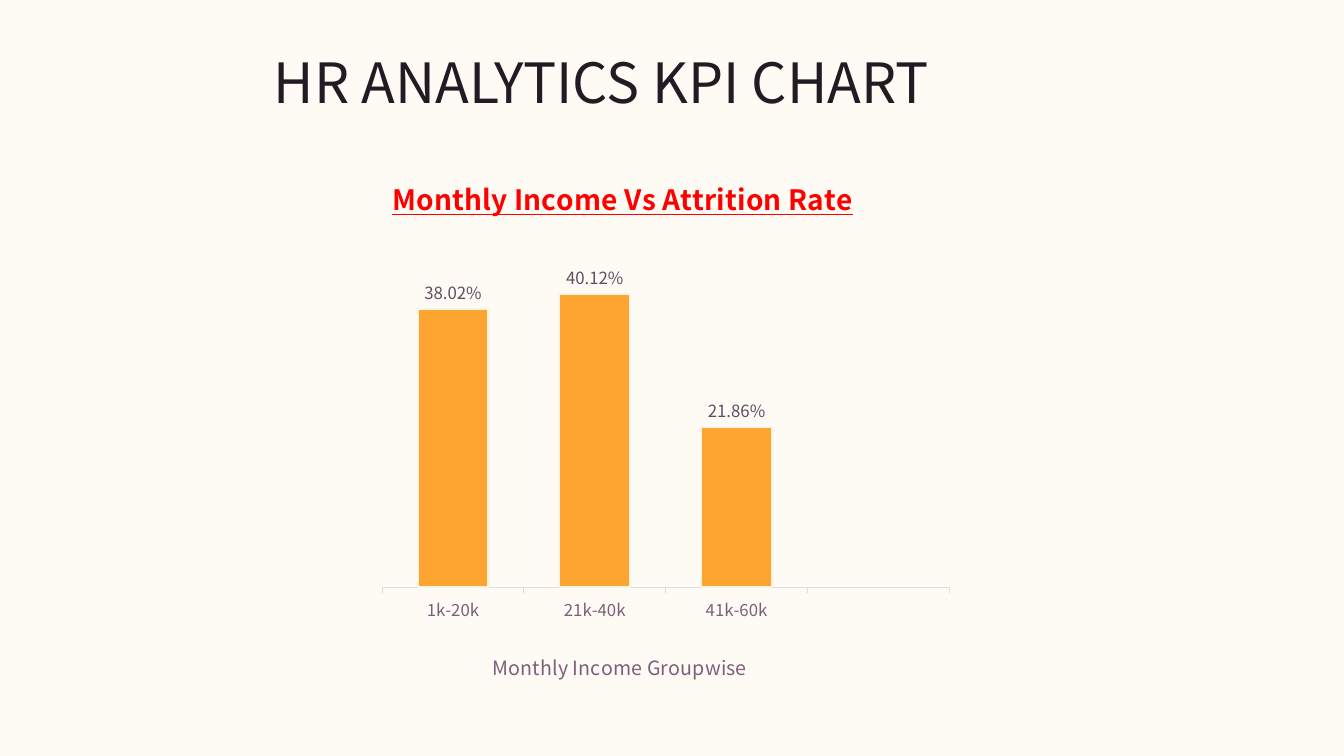
import pptx
import pptx.chart.data
import pptx.dml.color
import pptx.enum.chart
import pptx.enum.text
import pptx.util
from lxml import etree
from pptx.util import Inches

RGBColor = pptx.dml.color.RGBColor
INK = RGBColor(0x23, 0x1B, 0x23)
PLUM = RGBColor(0x7C, 0x5F, 0x7C)
DARK_PLUM = RGBColor(0x62, 0x4C, 0x62)
LILAC = RGBColor(0xE2, 0xD9, 0xE2)
RED = RGBColor(0xFF, 0x00, 0x00)
ORANGE = RGBColor(0xFD, 0xA4, 0x31)
CREAM = RGBColor(0xFC, 0xF5, 0xE5)
PALE_CREAM = RGBColor(0xFE, 0xFB, 0xF5)

INCOME_GROUPS = ["1k-20k", "21k-40k", "41k-60k", ""]
ATTRITION_RATES = [0.3802, 0.4012, 0.2186, None]
PERCENT = "0.00%"
CHART_NS = "http://schemas.openxmlformats.org/drawingml/2006/chart"


class KpiSlide:
    font_name = "Noto Sans CJK JP"

    def __init__(self, deck):
        self.page = deck.slides.add_slide(deck.slide_layouts[5])
        fill = self.page.background.fill
        fill.solid()
        fill.fore_color.rgb = PALE_CREAM

    def style(self, font, size, color, bold=False, underline=False):
        font.name = self.font_name
        font.size = pptx.util.Pt(size)
        font.color.rgb = color
        font.bold = bold
        font.underline = underline

    def add_title(self, text, left, top, width, height):
        box = self.page.shapes.title
        box.left, box.top = Inches(left), Inches(top)
        box.width, box.height = Inches(width), Inches(height)
        frame = box.text_frame
        frame.word_wrap = True
        frame.auto_size = pptx.enum.text.MSO_AUTO_SIZE.NONE
        frame.vertical_anchor = pptx.enum.text.MSO_ANCHOR.MIDDLE
        para = frame.paragraphs[0]
        para.alignment = pptx.enum.text.PP_ALIGN.CENTER
        para.line_spacing = 0.9
        span = para.add_run()
        span.text = text
        self.style(span.font, 39.6, INK)

    def place(self, element, x, y, width=None, height=None):
        """Give a chart part a manual layout in fractions of the chart."""
        for old in element.findall(f"{{{CHART_NS}}}layout"):
            element.remove(old)
        layout = etree.Element(f"{{{CHART_NS}}}layout")
        manual = etree.SubElement(layout, f"{{{CHART_NS}}}manualLayout")
        settings = [("xMode", "edge"), ("yMode", "edge"), ("x", x), ("y", y)]
        if width is not None:
            settings.insert(0, ("layoutTarget", "inner"))
            settings += [("w", width), ("h", height)]
        for name, value in settings:
            etree.SubElement(manual, f"{{{CHART_NS}}}{name}").set("val", str(value))
        text = element.find(f"{{{CHART_NS}}}tx")
        if text is None:
            element.insert(0, layout)
        else:
            text.addnext(layout)

    def add_chart_title(self, title, text, x, y, **look):
        para = title.text_frame.paragraphs[0]
        span = para.add_run()
        span.text = text
        self.style(span.font, **look)
        self.place(title._element.find(f".//{{{CHART_NS}}}title")
                   if title._element.tag != f"{{{CHART_NS}}}title"
                   else title._element, x, y)

    def add_column_chart(self, left, top, width, height):
        data = pptx.chart.data.CategoryChartData(number_format=PERCENT)
        data.categories = INCOME_GROUPS
        data.add_series("Series 1", ATTRITION_RATES)
        chart = self.page.shapes.add_chart(
            pptx.enum.chart.XL_CHART_TYPE.COLUMN_CLUSTERED,
            Inches(left), Inches(top), Inches(width), Inches(height), data).chart
        self.style(chart.font, 10, INK)
        chart.has_legend = False
        chart.has_title = True
        self.add_chart_title(chart.chart_title, "Monthly Income Vs Attrition Rate",
                             0.23, 0.09, size=20, color=RED, bold=True, underline=True)
        self.place(chart._chartSpace.chart.plotArea, 0.224, 0.245, 0.643, 0.576)
        self.format_axes(chart)
        self.format_columns(chart.plots[0])

    def format_axes(self, chart):
        groups = chart.category_axis
        groups.has_major_gridlines = False
        groups.major_tick_mark = pptx.enum.chart.XL_TICK_MARK.OUTSIDE
        groups.format.line.color.rgb = LILAC
        groups.format.line.width = pptx.util.Pt(0.75)
        self.style(groups.tick_labels.font, 12, PLUM)
        groups.has_title = True
        self.add_chart_title(groups.axis_title, "Monthly Income Groupwise",
                             0.345, 0.925, size=14, color=PLUM)
        rates = chart.value_axis
        rates.minimum_scale, rates.maximum_scale = 0, 0.45
        rates.has_major_gridlines = False
        rates.tick_labels.number_format = PERCENT
        rates.tick_labels.number_format_is_linked = False
        rates.visible = False

    def format_columns(self, plot):
        plot.gap_width = 100
        plot.vary_by_categories = False
        columns = plot.series[0]
        columns.format.fill.solid()
        columns.format.fill.fore_color.rgb = ORANGE
        columns.format.line.color.rgb = CREAM
        columns.format.line.width = pptx.util.Pt(1.5)
        labels = columns.data_labels
        labels.show_value = True
        labels.number_format = PERCENT
        labels.number_format_is_linked = False
        labels.position = pptx.enum.chart.XL_LABEL_POSITION.OUTSIDE_END
        self.style(labels.font, 12, DARK_PLUM)


def main():
    deck = pptx.Presentation()
    deck.slide_width, deck.slide_height = Inches(13.33), Inches(7.5)
    slide = KpiSlide(deck)
    slide.add_title("HR ANALYTICS KPI CHART", 0, 0.53, 11.93, 0.64)
    slide.add_column_chart(1.83, 1.17, 8.75, 5.67)
    deck.save("out.pptx")


if __name__ == "__main__":
    main()
